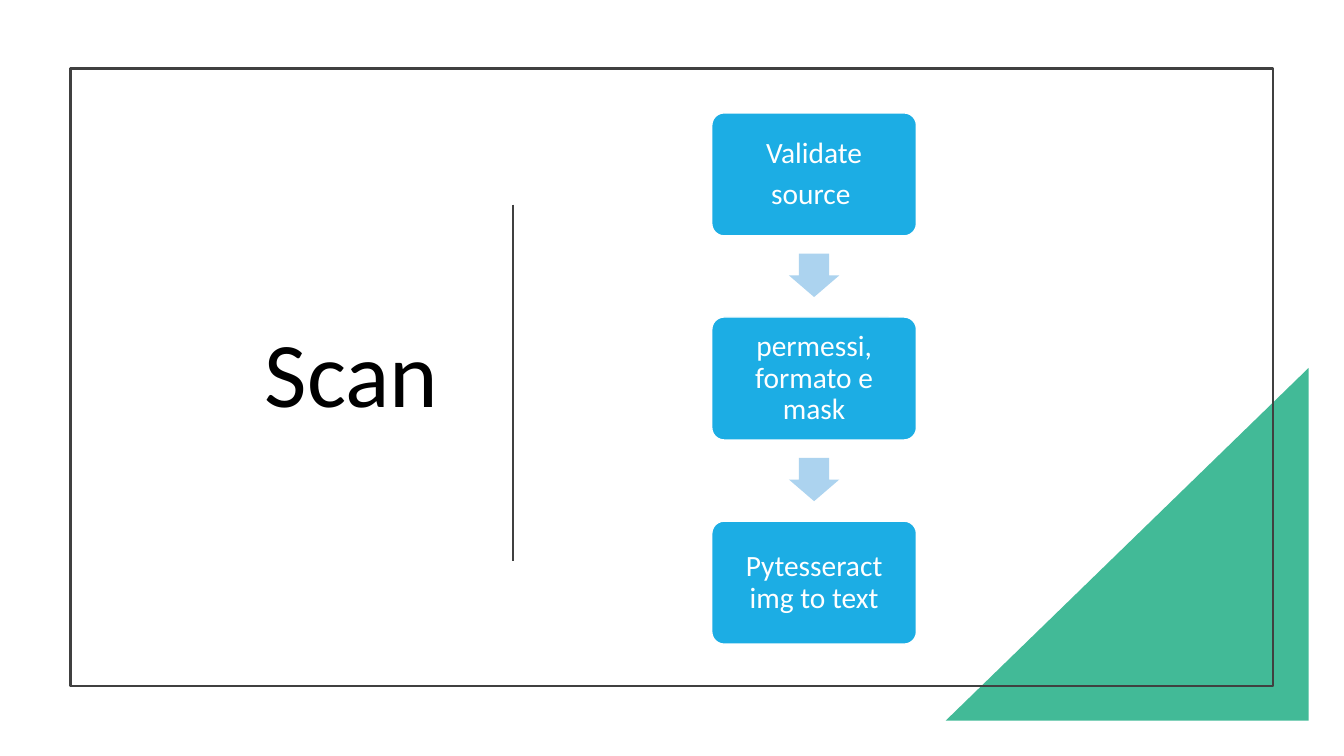
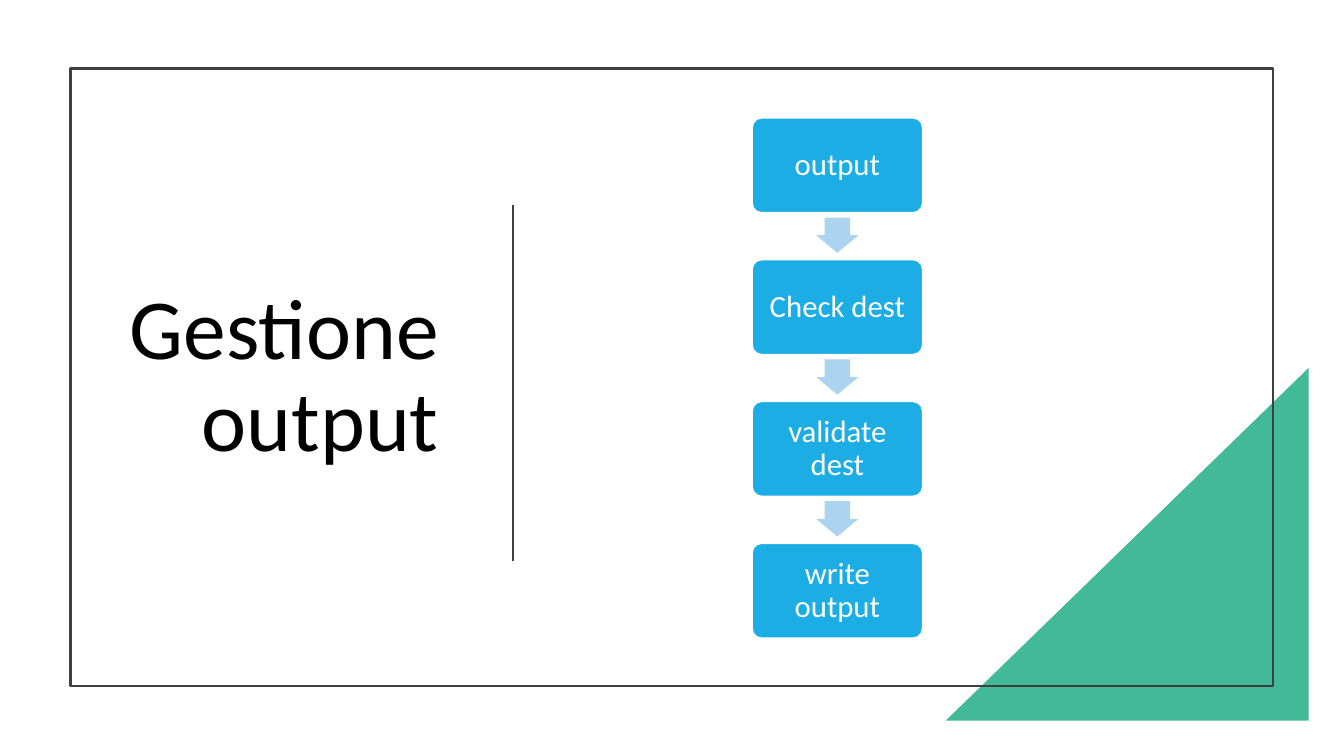
from dataclasses import dataclass

from lxml import etree
from pptx import Presentation
from pptx import util as u
from pptx.dml.color import RGBColor
from pptx.enum import shapes, text
from pptx.oxml import ns


@dataclass(frozen=True)
class Theme:
    font: str = "Calibri"
    ink: RGBColor = RGBColor(0x00, 0x00, 0x00)
    rule: RGBColor = RGBColor(0x40, 0x40, 0x40)
    corner: RGBColor = RGBColor(0x42, 0xBA, 0x97)
    step: RGBColor = RGBColor(0x1C, 0xAD, 0xE4)
    arrow: RGBColor = RGBColor(0xAC, 0xD3, 0xEF)
    white: RGBColor = RGBColor(0xFF, 0xFF, 0xFF)
    rule_width: float = 1.5
    step_border: float = 1


theme = Theme()


def write_text(frame, content, *, size, color, align, inset=None, space_after=0):
    """Fill a text frame, one paragraph for each line of the content."""
    frame.text = content
    frame.word_wrap = True
    frame.auto_size = text.MSO_AUTO_SIZE.NONE
    frame.vertical_anchor = text.MSO_ANCHOR.MIDDLE
    if inset is not None:
        frame.margin_left = frame.margin_right = u.Inches(inset)
        frame.margin_top = frame.margin_bottom = u.Inches(inset)
    for paragraph in frame.paragraphs:
        paragraph.alignment = align
        paragraph.line_spacing = 0.9
        paragraph.space_after = u.Pt(space_after)
        paragraph.font.name = theme.font
        paragraph.font.size = u.Pt(size)
        paragraph.font.color.rgb = color


def add_block(slide, kind, box, *, fill=None, line=None, line_width=1):
    """Add a flat preset shape; box is left, top, width, height in inches."""
    block = slide.shapes.add_shape(kind, *map(u.Inches, box))
    block.shadow.inherit = False
    if fill is None:
        block.fill.background()
    else:
        block.fill.solid()
        block.fill.fore_color.rgb = fill
    if line is None:
        block.line.fill.background()
    else:
        block.line.color.rgb = line
        block.line.width = u.Pt(line_width)
    return block


# Content: each flow gives its title, steps and box measures in inches
flows = [
    dict(title="Scan", title_size=66, step_size=21,
         steps=["Validate\nsource ", "permessi, formato e mask",
                "Pytesseract img to text"],
         left=7.06, top=1.12, width=2.03, height=1.22, pitch=2.025,
         arrow_width=0.5, arrow_height=0.43),
    dict(title="Gestione output", title_size=61, step_size=22,
         steps=["output", "Check dest", "validate dest", "write output"],
         left=7.46, top=1.17, width=1.69, height=0.94, pitch=1.407,
         arrow_width=0.42, arrow_height=0.35),
]

deck = Presentation()
deck.slide_width = u.Inches(13.33)
deck.slide_height = u.Inches(7.5)
title_only = deck.slide_layouts[5]

for flow in flows:
    slide = deck.slides.add_slide(title_only)

    # Corner triangle and frame
    corner = add_block(slide, shapes.MSO_SHAPE.RIGHT_TRIANGLE,
                       (9.38, 3.65, 3.6, 3.5), fill=theme.corner)
    corner.element.spPr.find(ns.qn("a:xfrm")).set("flipH", "1")
    add_block(slide, shapes.MSO_SHAPE.RECTANGLE, (0.7, 0.68, 11.93, 6.13),
              line=theme.rule, line_width=theme.rule_width)

    # Title and the divider beside it
    title = slide.shapes.title
    title.left, title.top = u.Inches(1.18), u.Inches(1.3)
    title.width, title.height = u.Inches(3.27), u.Inches(4.9)
    write_text(title.text_frame, flow["title"], size=flow["title_size"],
               color=theme.ink, align=text.PP_ALIGN.RIGHT)
    divider = slide.shapes.add_connector(
        shapes.MSO_CONNECTOR.STRAIGHT,
        u.Inches(5.09), u.Inches(2.03), u.Inches(5.09), u.Inches(5.57))
    divider.line.color.rgb = theme.rule
    divider.line.width = u.Pt(theme.rule_width)
    etree.SubElement(divider.element.spPr, ns.qn("a:effectLst"))

    # Steps, with an arrow in the middle of each gap
    gap = flow["pitch"] - flow["height"]
    arrow_left = flow["left"] + (flow["width"] - flow["arrow_width"]) / 2
    for index, label in enumerate(flow["steps"]):
        top = flow["top"] + index * flow["pitch"]
        if index:
            arrow_top = top - (gap + flow["arrow_height"]) / 2 - 0.01
            arrow = add_block(slide, shapes.MSO_SHAPE.DOWN_ARROW,
                              (arrow_left, arrow_top,
                               flow["arrow_width"], flow["arrow_height"]),
                              fill=theme.arrow)
            arrow.adjustments[0] = 0.6
            arrow.adjustments[1] = 0.5
        step = add_block(slide, shapes.MSO_SHAPE.ROUNDED_RECTANGLE,
                         (flow["left"], top, flow["width"], flow["height"]),
                         fill=theme.step, line=theme.white,
                         line_width=theme.step_border)
        step.adjustments[0] = 0.1
        write_text(step.text_frame, label, size=flow["step_size"],
                   color=theme.white, align=text.PP_ALIGN.CENTER,
                   inset=0.09, space_after=7)

deck.save("out.pptx")
